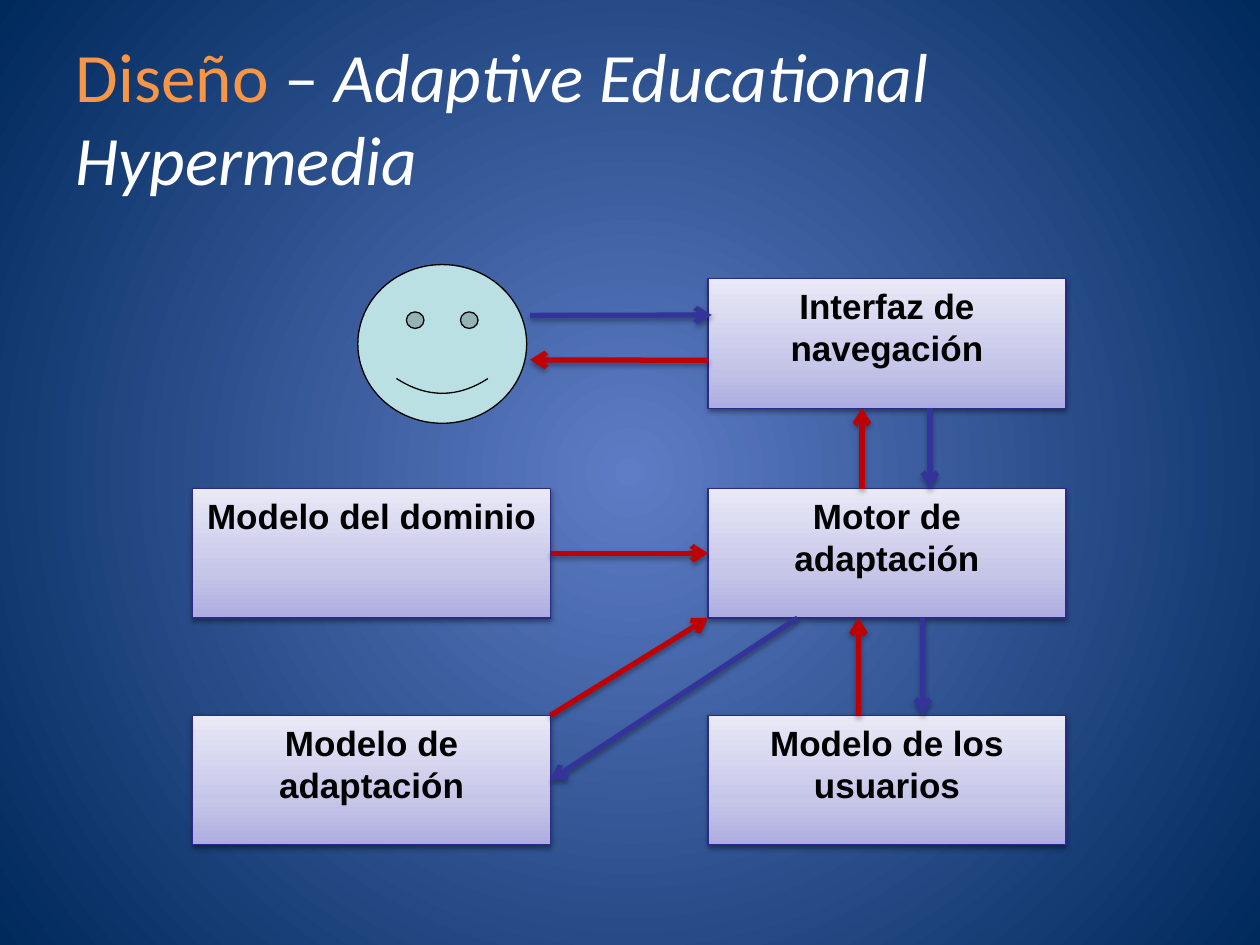
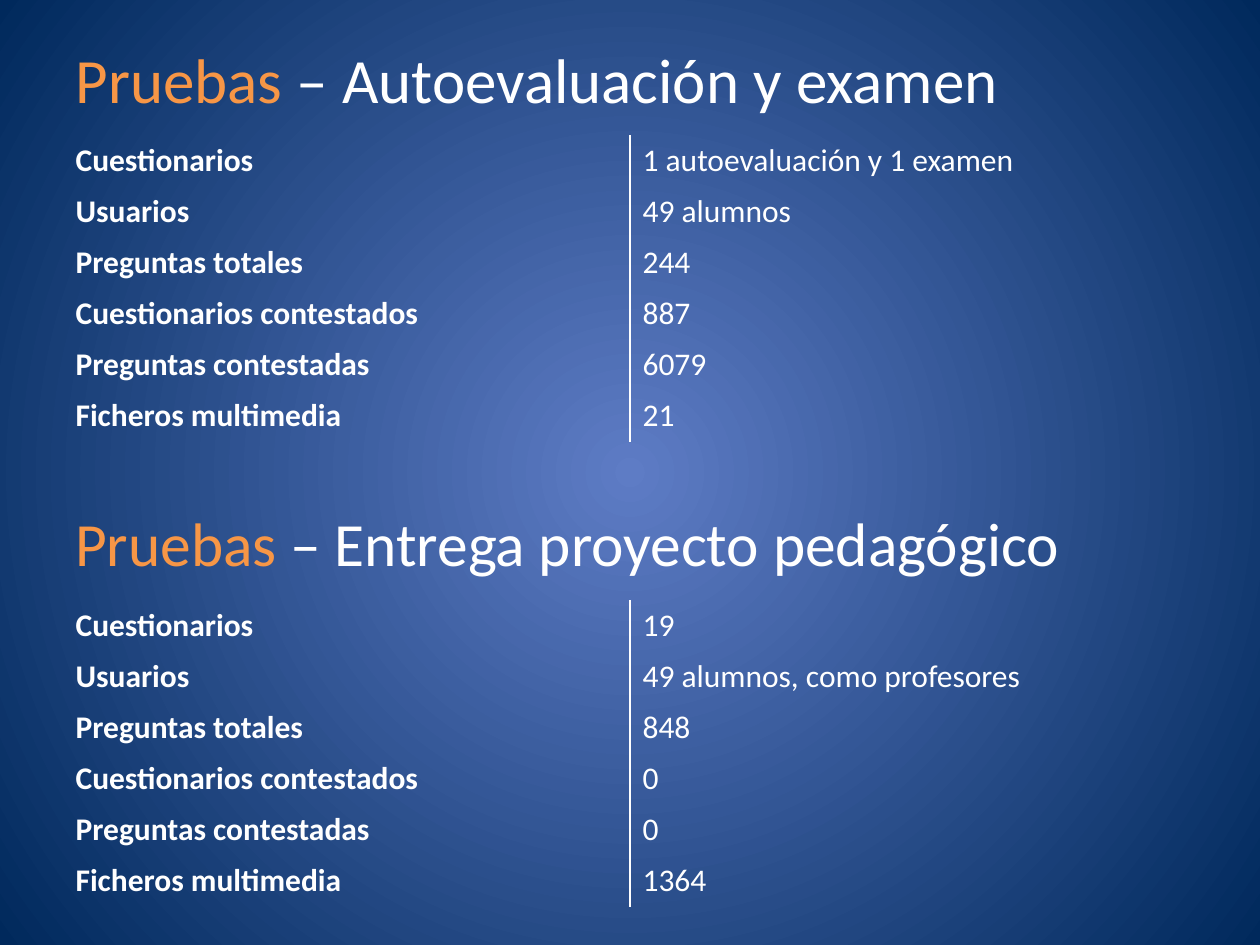
"""Build two slides: an adaptive hypermedia design and its test results."""
import pptx
import pptx.dml.color
import pptx.enum.shapes
import pptx.enum.text
import pptx.oxml
import pptx.oxml.ns
import pptx.util

COLORS = {
    "glow": "5E7CC5", "night": "00295C", "accent": "F79646", "white": "FFFFFF",
    "black": "000000", "box_low": "ADADE1", "box_mid": "C6C6E9",
    "box_high": "E9E9F7", "box_edge": "2A2A89", "request": "333399",
    "response": "C00000", "face": "BBE0E3",
}
WIDTH, HEIGHT = pptx.util.Inches(10), pptx.util.Inches(7.5)
MARGIN = 0.05
BAND = (1 - 2 * MARGIN, 1 / 6)
COLUMNS = (0.153, 0.562)
ROWS = (0.295, 0.517, 0.757)
BOX_SIZE = (0.284, 0.137)
TABLE_ROW = 0.054
NO_TABLE_STYLE = "{2D5ABB26-0587-4C30-8999-92F81FD0307C}"
CIRCLE = ('<a:path path="circle"><a:fillToRect l="50000" t="50000" '
          'r="50000" b="50000"/></a:path>')
UPWARD = '<a:lin ang="16200000" scaled="0"/>'

BOXES = {
    "interfaz": (1, 0, "Interfaz de navegación"),
    "dominio": (0, 1, "Modelo del dominio"),
    "motor": (1, 1, "Motor de adaptación"),
    "adaptación": (0, 2, "Modelo de adaptación"),
    "usuarios": (1, 2, "Modelo de los usuarios"),
}
FRAMES = {name: (COLUMNS[column], ROWS[row], *BOX_SIZE)
          for name, (column, row, _) in BOXES.items()}
FRAMES["alumno"] = (0.284, 0.28, 0.134, 0.168)
ARROWS = (
    ("request", "alumno", (1.02, 0.32), "interfaz", (0.01, 0.28)),
    ("response", "interfaz", (0, 0.63), "alumno", (1.02, 0.6)),
    ("response", "motor", (0.43, 0), "interfaz", (0.43, 1)),
    ("request", "interfaz", (0.62, 1), "motor", (0.62, 0)),
    ("response", "dominio", (1, 0.5), "motor", (0, 0.5)),
    ("response", "usuarios", (0.42, 0), "motor", (0.42, 1)),
    ("request", "motor", (0.6, 1), "usuarios", (0.6, 0)),
    ("response", "adaptación", (1, 0), "motor", (0, 1)),
    ("request", "motor", (0.25, 1), "adaptación", (1, 0.5)),
)
LABELS = ("Cuestionarios", "Usuarios", "Preguntas totales",
          "Cuestionarios contestados", "Preguntas contestadas",
          "Ficheros multimedia")
EXAM = ("1 autoevaluación y 1 examen", "49 alumnos", "244", "887", "6079", "21")
PROJECT = ("19", "49 alumnos, como profesores", "848", "0", "0", "1364")


def rgb(name):
    """Return a named colour."""
    return pptx.dml.color.RGBColor.from_string(COLORS[name])


def scale(x, y):
    """Turn shares of the slide into lengths."""
    return round(x * WIDTH), round(y * HEIGHT)


def frame(left, top, width, height):
    """Turn a frame given in shares into lengths."""
    return *scale(left, top), *scale(width, height)


def element(tag, attributes="", content=""):
    """Make one DrawingML element."""
    return pptx.oxml.parse_xml(
        f'<a:{tag} {pptx.oxml.ns.nsdecls("a")} {attributes}>{content}</a:{tag}>')


def add_span(para, text, *, size, font="Calibri", color="white", bold=False,
             italic=False):
    """Add a formatted run to a paragraph."""
    span = para.add_run()
    span.text = text
    span.font.size = pptx.util.Pt(size)
    span.font.name = font
    span.font.color.rgb = rgb(color)
    span.font.bold, span.font.italic = bold, italic


def paint_gradient(fill, owner, stops, direction):
    """Give a fill a gradient of named colours at percentages."""
    fill.gradient()
    marks = "".join(f'<a:gs pos="{share * 1000}"><a:srgbClr val="{COLORS[name]}"/></a:gs>'
                    for share, name in stops)
    gradient = next(owner.iter(pptx.oxml.ns.qn("a:gradFill")))
    gradient.getparent().replace(gradient, element(
        "gradFill", 'rotWithShape="1"', f"<a:gsLst>{marks}</a:gsLst>{direction}"))


def drop_shadow(shape, opacity, distance):
    """Add a soft shadow below a shape."""
    shape._element.spPr.append(element("effectLst", content=(
        f'<a:outerShdw blurRad="{pptx.util.Pt(3.1)}" dist="{pptx.util.Pt(distance)}" '
        f'dir="5400000" rotWithShape="0"><a:srgbClr val="{COLORS["black"]}">'
        f'<a:alpha val="{opacity * 1000}"/></a:srgbClr></a:outerShdw>')))


def outline(shape, color, width):
    """Set the colour and width of a line."""
    shape.line.color.rgb = rgb(color)
    shape.line.width = pptx.util.Pt(width)


def write_heading(shape, top, topic, subject, size, italic=False):
    """Place a heading with an accented topic and a white subject."""
    shape.left, shape.top, shape.width, shape.height = frame(MARGIN, top, *BAND)
    text = shape.text_frame
    text.word_wrap = True
    text.auto_size = pptx.enum.text.MSO_AUTO_SIZE.NONE
    text.vertical_anchor = pptx.enum.text.MSO_ANCHOR.MIDDLE
    para = text.paragraphs[0]
    para.alignment = pptx.enum.text.PP_ALIGN.LEFT
    add_span(para, topic, size=size, color="accent")
    add_span(para, " – ", size=size)
    add_span(para, subject, size=size, italic=italic)


def add_box(page, name):
    """Draw a labelled component of the system."""
    box = page.shapes.add_shape(
        pptx.enum.shapes.MSO_SHAPE.RECTANGLE, *frame(*FRAMES[name]))
    paint_gradient(box.fill, box._element.spPr,
                   ((0, "box_low"), (35, "box_mid"), (100, "box_high")), UPWARD)
    outline(box, "box_edge", 0.75)
    drop_shadow(box, 38, 1.6)
    box.text_frame.word_wrap = True
    box.text_frame.vertical_anchor = pptx.enum.text.MSO_ANCHOR.TOP
    para = box.text_frame.paragraphs[0]
    para.alignment = pptx.enum.text.PP_ALIGN.CENTER
    add_span(para, BOXES[name][2], size=20, font="Arial", color="black", bold=True)


def anchor(name, across, down):
    """Find a point at shares of a component's frame."""
    left, top, width, height = FRAMES[name]
    return scale(left + across * width, top + down * height)


def add_arrow(page, color, source, start, target, end):
    """Join two components with an arrow."""
    arrow = page.shapes.add_connector(
        pptx.enum.shapes.MSO_CONNECTOR.STRAIGHT,
        *anchor(source, *start), *anchor(target, *end))
    outline(arrow, color, 3)
    arrow._element.spPr.find(pptx.oxml.ns.qn("a:ln")).append(
        element("tailEnd", 'type="arrow"'))
    drop_shadow(arrow, 35, 1.8)


def add_face(page):
    """Draw the smiling student."""
    face = page.shapes.add_shape(
        pptx.enum.shapes.MSO_SHAPE.SMILEY_FACE, *frame(*FRAMES["alumno"]))
    face.adjustments[0] = 0.047
    face.fill.solid()
    face.fill.fore_color.rgb = rgb("face")
    outline(face, "black", 0.75)
    face.shadow.inherit = False


def add_results(page, top, values):
    """Add a table of labels and values split by a white rule."""
    height = TABLE_ROW * len(LABELS)
    holder = page.shapes.add_table(
        len(LABELS), 2, *frame(MARGIN, top, BAND[0], height))
    table = holder.table
    table.first_row = table.horz_banding = False
    style = next(holder._element.iter(pptx.oxml.ns.qn("a:tableStyleId")))
    style.text = NO_TABLE_STYLE
    rule = (f'<a:solidFill><a:srgbClr val="{COLORS["white"]}"/></a:solidFill>')
    for row, texts in enumerate(zip(LABELS, values)):
        for column, side in enumerate(("lnR", "lnL")):
            cell = table.cell(row, column)
            cell.fill.background()
            cell._tc.get_or_add_tcPr().insert(
                0, element(side, f'w="{pptx.util.Pt(1)}"', rule))
            add_span(cell.text_frame.paragraphs[0], texts[column], size=18,
                     bold=column == 0)


def add_page(deck):
    """Add a page that holds only a title."""
    return deck.slides.add_slide(deck.slide_layouts[5])


def build_design(deck):
    """Build the diagram of the adaptive system."""
    page = add_page(deck)
    write_heading(page.shapes.title, 0.04, "Diseño",
                  "Adaptive Educational Hypermedia", 39.6, italic=True)
    for name in BOXES:
        add_box(page, name)
    for arrow in ARROWS:
        add_arrow(page, *arrow)
    add_face(page)


def build_tests(deck):
    """Build the two tables of test results."""
    page = add_page(deck)
    write_heading(page.shapes.title, 0, "Pruebas", "Autoevaluación y examen", 36)
    add_results(page, 0.143, EXAM)
    second = page.shapes.add_textbox(0, 0, WIDTH, HEIGHT)
    write_heading(second, 0.49, "Pruebas", "Entrega proyecto pedagógico", 35.1)
    add_results(page, 0.635, PROJECT)


def main():
    """Build and save the deck."""
    deck = pptx.Presentation()
    deck.slide_width, deck.slide_height = WIDTH, HEIGHT
    master = deck.slide_master
    paint_gradient(master.background.fill, master._element,
                   ((0, "glow"), (100, "night")), CIRCLE)
    build_design(deck)
    build_tests(deck)
    deck.save("out.pptx")


if __name__ == "__main__":
    main()
